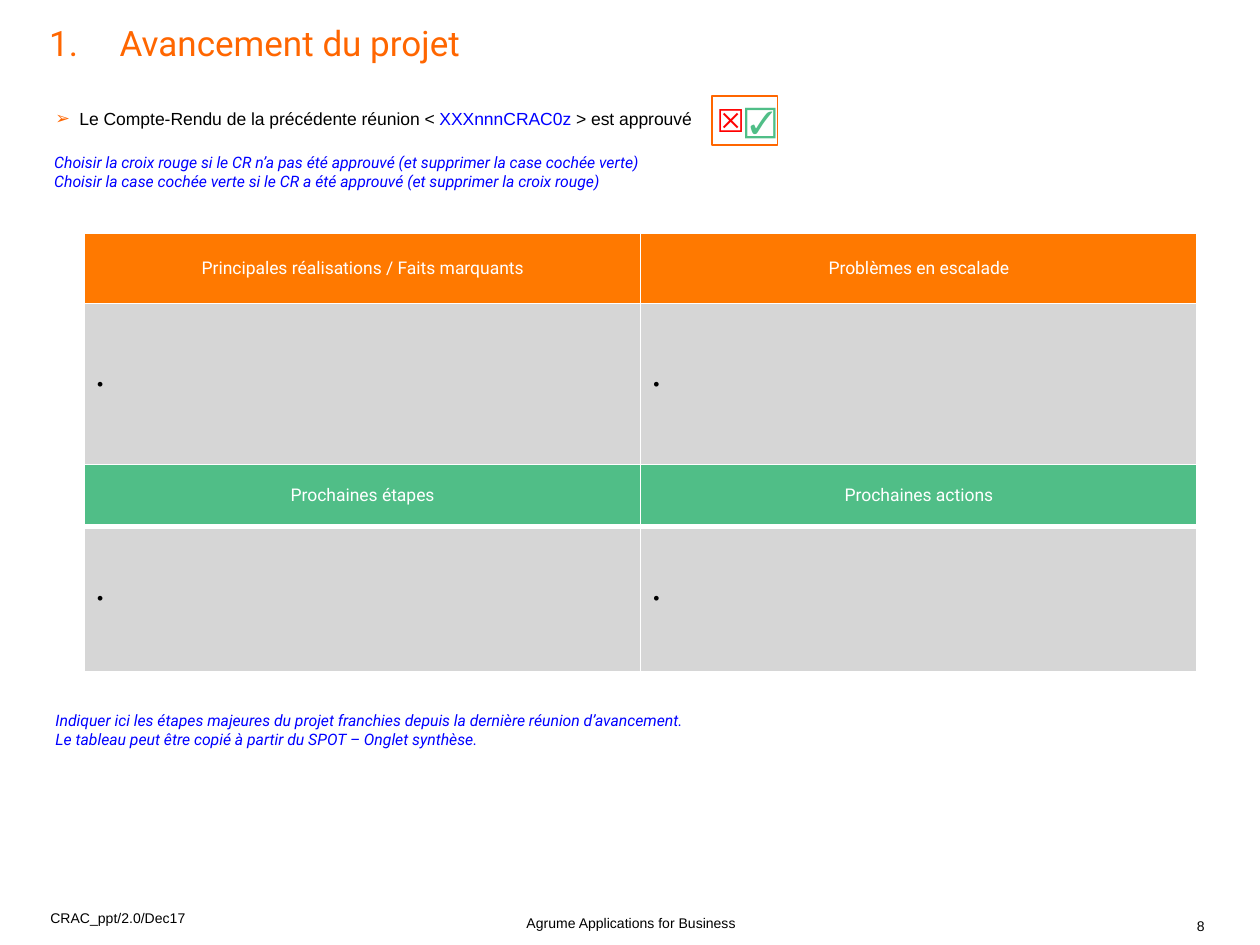
import pptx
import pptx.dml.color
import pptx.enum.shapes
import pptx.enum.text
import pptx.oxml.ns
import pptx.util
from lxml import etree

COLORS = {
    "accent": "FF6600", "header": "FF7900", "next": "50BE87", "panel": "D6D6D6",
    "hint": "0000FF", "reject": "FF0000", "ink": "000000", "paper": "FFFFFF",
}
WIDTH, HEIGHT = pptx.util.Inches(10), pptx.util.Inches(7.5)
COLUMNS, ROWS = 100, 75
ALIGN = pptx.enum.text.PP_ALIGN
ANCHOR = pptx.enum.text.MSO_ANCHOR

TITLE = {"size": 20, "name": "Roboto", "color": "accent"}
BODY = {"size": 10, "name": "Arial", "color": "ink"}
HINT = {"size": 9, "name": "Roboto", "color": "hint", "italic": True}
HEADING = {"size": 10, "name": "Roboto", "color": "paper"}
FOOTER = {"size": 8, "name": "Arial", "color": "ink"}
MARK = {"size": 18, "name": "Roboto", "bold": True}
CENTERED = {"alignment": ALIGN.CENTER}
TIGHT = {"line_spacing": 0.85}


def rgb(name):
    """Return the named colour."""
    return pptx.dml.color.RGBColor.from_string(COLORS[name])


def place(left, top, width, height):
    """Turn grid columns and rows into slide lengths."""
    column, row = WIDTH / COLUMNS, HEIGHT / ROWS
    return [round(n) for n in (left * column, top * row, width * column, height * row)]


def apply(target, values):
    """Set each named attribute on the target."""
    for name, value in values.items():
        setattr(target, name, value)


def add_xml(parent, tag, **values):
    """Append a DrawingML element and return it."""
    return etree.SubElement(parent, pptx.oxml.ns.qn("a:" + tag), values)


def add_span(para, text, style):
    """Add a run of styled text."""
    span = para.add_run()
    span.text = text
    values = dict(style)
    span.font.color.rgb = rgb(values.pop("color"))
    values["size"] = pptx.util.Pt(values["size"])
    apply(span.font, values)


def fill_frame(frame, paras, layout=None):
    """Write paragraphs, each a list of text and style pairs."""
    for index, spans in enumerate(paras):
        para = frame.add_paragraph() if index else frame.paragraphs[0]
        apply(para, layout or {})
        for text, style in spans:
            for number, line in enumerate(text.split("\n")):
                if number:
                    para.add_line_break()
                add_span(para, line, style)


def set_frame(frame, anchor=ANCHOR.TOP, inset=0, wrap=True):
    """Set wrapping, margins and anchor of a text frame."""
    margins = {"margin_" + side: 0 for side in ("left", "right")}
    margins.update({"margin_" + side: pptx.util.Inches(inset) for side in ("top", "bottom")})
    apply(frame, {"word_wrap": wrap, "vertical_anchor": anchor, **margins})


def add_text(page, area, paras, layout=None, **frame_values):
    """Add a text box and return its first paragraph."""
    frame = page.shapes.add_textbox(*place(*area)).text_frame
    set_frame(frame, **frame_values)
    fill_frame(frame, paras, layout)
    return frame.paragraphs[0]


def hang(para, inches, bullet=None, color="ink"):
    """Give a paragraph a hanging indent, with a bullet or a tab stop."""
    indent = pptx.util.Inches(inches)
    props = para._p.get_or_add_pPr()
    props.set("marL", str(indent))
    props.set("indent", str(-indent))
    if bullet:
        add_xml(add_xml(props, "buClr"), "srgbClr", val=COLORS[color])
        add_xml(props, "buFont", typeface="Arial")
        add_xml(props, "buChar", char=bullet)
    else:
        add_xml(add_xml(props, "tabLst"), "tab", pos=str(indent), algn="l")


def add_check_box(page, area):
    """Add the framed pair of approval marks."""
    box = page.shapes.add_shape(pptx.enum.shapes.MSO_SHAPE.RECTANGLE, *place(*area))
    box.shadow.inherit = False
    box.fill.background()
    box.line.color.rgb = rgb("accent")
    box.line.width = pptx.util.Pt(1)
    set_frame(box.text_frame, ANCHOR.MIDDLE)
    marks = [("☒", {**MARK, "color": "reject"}), ("☑", {**MARK, "color": "next"})]
    fill_frame(box.text_frame, [marks], CENTERED)


def set_borders(cell, top, bottom):
    """Draw white cell borders with the given widths in points."""
    props = cell._tc.get_or_add_tcPr()
    for side, width in zip("LRTB", (1, 1, top, bottom)):
        line = add_xml(props, "ln" + side, w=str(pptx.util.Pt(width)))
        add_xml(add_xml(line, "solidFill"), "srgbClr", val=COLORS["paper"])


def add_progress_table(page, area):
    """Add the table of achievements, problems, steps and actions."""
    blanks = (" ", " ")
    rows = [
        (0.56, ("Principales réalisations / Faits marquants", "Problèmes en escalade"),
         "header", HEADING, CENTERED, (1, 1)),
        (1.28, blanks, "panel", BODY, None, (1, 1)),
        (0.49, ("Prochaines étapes", "Prochaines actions"), "next", HEADING, CENTERED, (1, 3)),
        (1.15, blanks, "panel", BODY, None, (3, 1)),
    ]
    table = page.shapes.add_table(len(rows), 2, *place(*area)).table
    apply(table, {"first_row": False, "horz_banding": False})
    for index, (height, texts, color, style, layout, edges) in enumerate(rows):
        table.rows[index].height = pptx.util.Inches(height)
        for column, text in enumerate(texts):
            cell = table.cell(index, column)
            set_borders(cell, *edges)
            cell.fill.solid()
            cell.fill.fore_color.rgb = rgb(color)
            cell.vertical_anchor = ANCHOR.MIDDLE
            apply(cell, {"margin_top": pptx.util.Inches(0.07),
                         "margin_bottom": pptx.util.Inches(0.07)})
            fill_frame(cell.text_frame, [[(text, style)]], layout)
            if texts is blanks:
                hang(cell.text_frame.paragraphs[0], 0.19, "•")


def add_hint(page, area, paras):
    """Add blue italic guidance."""
    add_text(page, area, [[(text, HINT)] for text in paras])


def add_footer(page):
    """Add the reference, the owner and the page number."""
    add_text(page, (95, 72.55, 3, 1.6), [[("8", FOOTER)]], TIGHT, anchor=ANCHOR.BOTTOM)
    add_text(page, (32.7, 72.55, 34.8, 1.6), [[("Agrume Applications for Business", FOOTER)]],
             {**TIGHT, **CENTERED}, anchor=ANCHOR.MIDDLE)
    add_text(page, (4, 71.7, 11, 3.1), [[("CRAC_ppt/2.0/Dec17", FOOTER)]],
             inset=0.05, wrap=False)


def main():
    """Build the project progress slide."""
    deck = pptx.Presentation()
    apply(deck, {"slide_width": WIDTH, "slide_height": HEIGHT})
    page = deck.slides.add_slide(deck.slide_layouts[6])
    add_footer(page)
    title = add_text(page, (3.9, 2.1, 92.6, 9), [[("1. \tAvancement du projet", TITLE)]],
                     {"line_spacing": 0.9})
    hang(title, 0.56)
    approval = add_text(page, (4.4, 8.6, 63.5, 5.6), [[
        ("Le Compte-Rendu de la précédente réunion < ", BODY),
        ("XXXnnnCRAC0z ", {**BODY, "color": "hint"}),
        ("> est approuvé", BODY),
    ]])
    hang(approval, 0.19, "➢", "accent")
    add_check_box(page, (56.5, 7.6, 5.2, 3.9))
    add_progress_table(page, (6.7, 18.48, 88.3, 34.8))
    add_hint(page, (4.3, 12.1, 90.9, 4.7), [
        "Choisir la croix rouge si le CR n’a pas été approuvé (et supprimer la case cochée verte)",
        "Choisir la case cochée verte si le CR a été approuvé (et supprimer la croix rouge)",
    ])
    add_hint(page, (4.4, 56.4, 90.9, 4.7), [
        "Indiquer ici les étapes majeures du projet franchies depuis la dernière réunion "
        "d’avancement. \nLe tableau peut être copié à partir du SPOT – Onglet synthèse.",
    ])
    deck.save("out.pptx")


if __name__ == "__main__":
    main()
